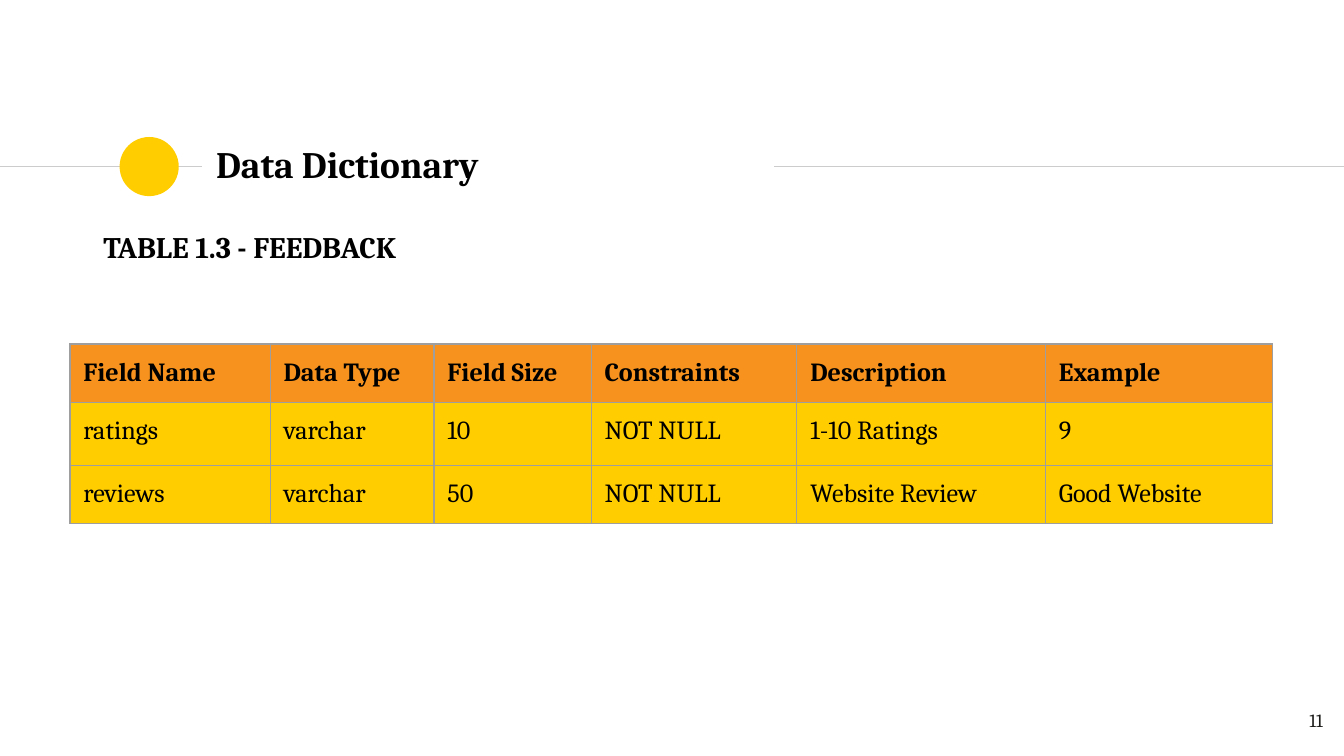
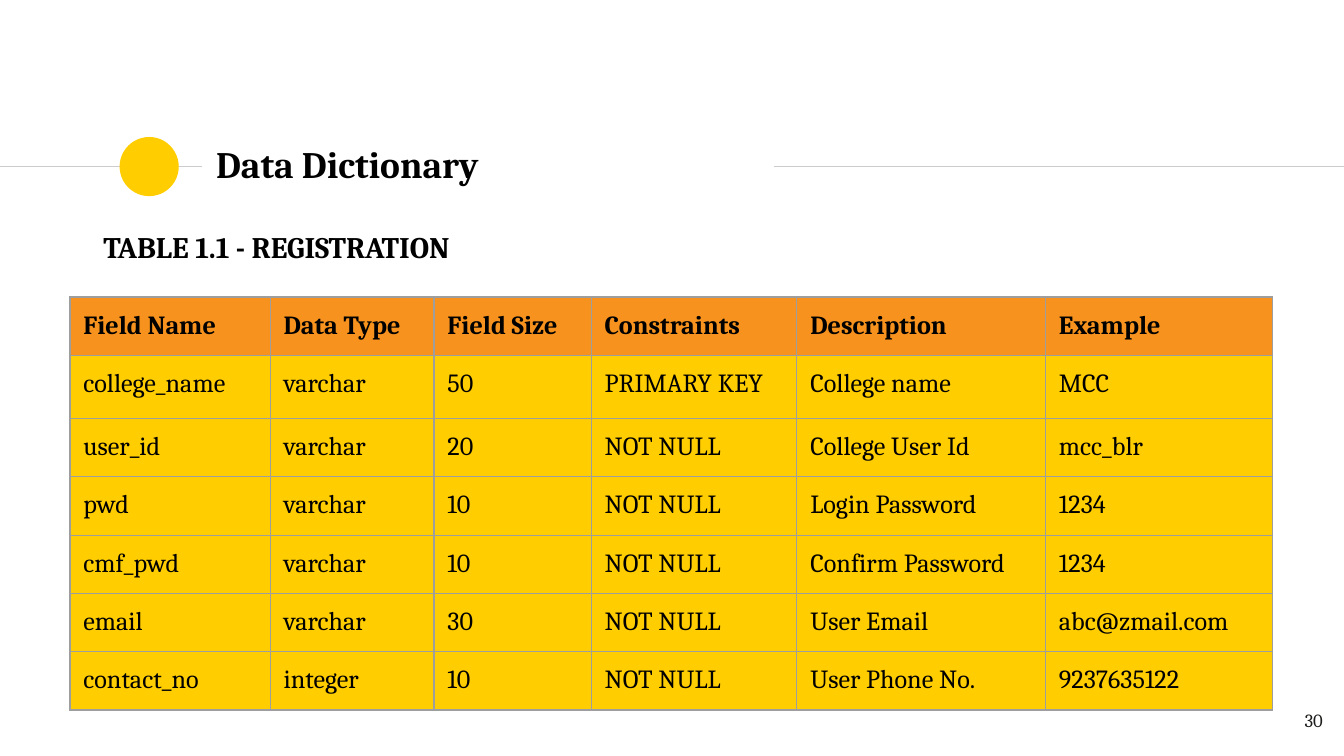
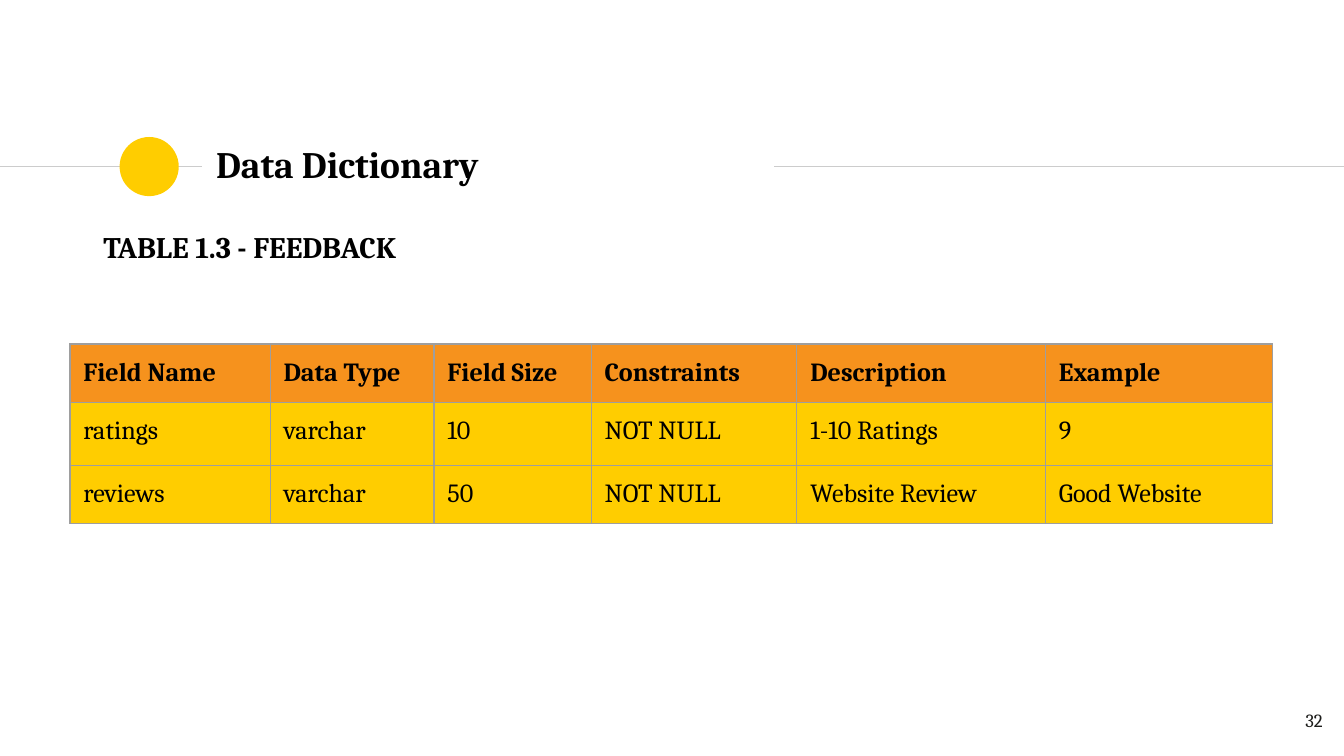
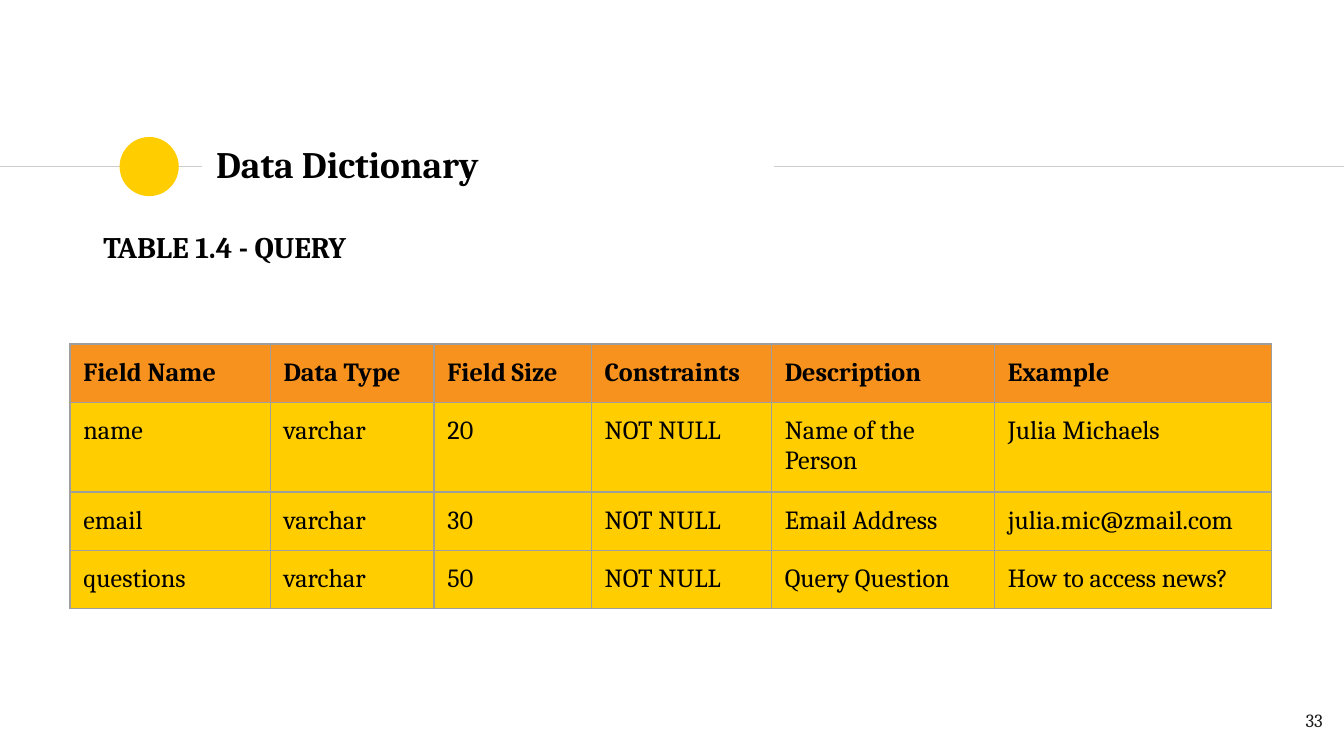
from pptx import Presentation
from pptx.dml.color import RGBColor as Rgb
from pptx.enum.shapes import MSO_CONNECTOR as Conn, MSO_SHAPE as Shape
from pptx.enum.text import MSO_ANCHOR as Anchor, PP_ALIGN as Align
from pptx.oxml.ns import qn
from pptx.util import Inches, Pt
from lxml.etree import SubElement as Sub

# Shared style
INK = {"black": "000000", "dark": "1D1D1B", "gold": "FFCD00",
       "orange": "F6921D", "rule": "CCCCCC", "edge": "9E9E9E"}
FONT = "Cambria"
WIDE = Inches(10)
HIGH = WIDE * 9 // 16
PAD = Inches(0.1)
AXIS = 22.04  # height of the title rule, percent

# Table grid: column shares of the width, row shares of the height
COLS = [14.9, 12.2, 11.7, 15.3, 18.5, 16.9]
QUERY_COLS = COLS[:3] + [13.4, 16.6, 20.6]
HEAD_ROW, FIRST_ROW, ROW = 7.64, 8.36, 7.47
HIGH_TOP, LOW_TOP = 39.29, 45.51

# Content
HEADS = ["Field Name", "Data Type", "Field Size", "Constraints",
         "Description", "Example"]
REGISTER = [
    ["college_name", "varchar", "50", "PRIMARY KEY", "College name", "MCC"],
    ["user_id", "varchar", "20", "NOT NULL", "College User Id", "mcc_blr"],
    ["pwd", "varchar", "10", "NOT NULL", "Login Password", "1234"],
    ["cmf_pwd", "varchar", "10", "NOT NULL", "Confirm Password", "1234"],
    ["email", "varchar", "30", "NOT NULL", "User Email", "abc@zmail.com"],
    ["contact_no", "integer", "10", "NOT NULL", "User Phone No.", "9237635122"],
]
FEEDBACK = [
    ["ratings", "varchar", "10", "NOT NULL", "1-10 Ratings", "9"],
    ["reviews", "varchar", "50", "NOT NULL", "Website Review", "Good Website"],
]
QUERY = [
    ["name", "varchar", "20", "NOT NULL", "Name of the Person", "Julia Michaels"],
    ["email", "varchar", "30", "NOT NULL", "Email Address", "julia.mic@zmail.com"],
    ["questions", "varchar", "50", "NOT NULL", "Query Question",
     "How to access news?"],
]
PAGES = [
    (11, "TABLE 1.3 - FEEDBACK", FEEDBACK, LOW_TOP, COLS),
    (30, "TABLE 1.1 - REGISTRATION", REGISTER, HIGH_TOP, COLS),
    (32, "TABLE 1.3 - FEEDBACK", FEEDBACK, LOW_TOP, COLS),
    (33, "TABLE 1.4 - QUERY", QUERY, LOW_TOP, QUERY_COLS),
]


def across(share):
    return round(WIDE * share / 100)


def down(share):
    return round(HIGH * share / 100)


def color(name):
    return Rgb.from_string(INK[name])


def pad(area):
    area.margin_left = area.margin_right = PAD
    area.margin_top = area.margin_bottom = PAD


def style(para, size, bold=False, ink="black"):
    font = para.font
    font.name, font.size, font.bold = FONT, Pt(size), bold
    font.color.rgb = color(ink)


def add_text(slide, text, left, top, width, height, size, bold=True,
             ink="black", align=Align.LEFT, anchor=Anchor.TOP):
    box = slide.shapes.add_textbox(across(left), down(top),
                                   across(width), down(height))
    frame = box.text_frame
    frame.word_wrap, frame.vertical_anchor = True, anchor
    pad(frame)
    para = frame.paragraphs[0]
    para.text, para.alignment = text, align
    style(para, size, bold, ink)


def add_rule(slide, start, end):
    rule = slide.shapes.add_connector(Conn.STRAIGHT, across(start), down(AXIS),
                                      across(end), down(AXIS))
    rule.line.color.rgb, rule.line.width = color("rule"), Pt(0.75)
    Sub(rule._element.spPr, qn("a:effectLst"))


def add_dot(slide, left, size):
    side = across(size)
    dot = slide.shapes.add_shape(Shape.OVAL, across(left),
                                 down(AXIS) - side // 2, side, side)
    dot.shadow.inherit = False
    dot.fill.solid()
    dot.fill.fore_color.rgb = color("gold")
    dot.line.fill.background()


def add_edges(cell):
    props = cell._tc.get_or_add_tcPr()
    for side in ("lnL", "lnR", "lnT", "lnB"):
        edge = Sub(props, qn(f"a:{side}"), w=str(Pt(0.75)))
        Sub(Sub(edge, qn("a:solidFill")), qn("a:srgbClr"), val=INK["edge"])


def fill_cell(cell, text, head):
    pad(cell)
    add_edges(cell)
    cell.fill.solid()
    cell.fill.fore_color.rgb = color("orange" if head else "gold")
    cell.text = text
    style(cell.text_frame.paragraphs[0], 14, head)


def add_grid(slide, rows, top, cols):
    rows = [HEADS] + rows
    tall = [HEAD_ROW, FIRST_ROW] + [ROW] * (len(rows) - 2)
    table = slide.shapes.add_table(len(rows), len(cols), across(5.2), down(top),
                                   across(sum(cols)), down(sum(tall))).table
    for col, share in zip(table.columns, cols):
        col.width = across(share)
    for i, (row, share) in enumerate(zip(table.rows, tall)):
        row.height = down(share)
        for cell, text in zip(row.cells, rows[i]):
            fill_cell(cell, text, i == 0)


def add_frame(slide, number):
    add_rule(slide, 0, 15)
    add_dot(slide, 8.9, 4.4)
    add_rule(slide, 57.6, 100)
    add_text(slide, "Data Dictionary", 15.1, 17.42, 42.4, 8.53, 20,
             anchor=Anchor.MIDDLE)
    add_text(slide, str(number), 93.4, 92.27, 6, 7.64, 10, bold=False,
             ink="dark", align=Align.RIGHT)


def main():
    deck = Presentation()
    deck.slide_width, deck.slide_height = WIDE, HIGH
    for number, name, rows, top, cols in PAGES:
        slide = deck.slides.add_slide(deck.slide_layouts[6])
        add_frame(slide, number)
        add_grid(slide, rows, top, cols)
        add_text(slide, name, 6.7, 28.44, 36.1, 8.36, 16)
    deck.save("out.pptx")


if __name__ == "__main__":
    main()
